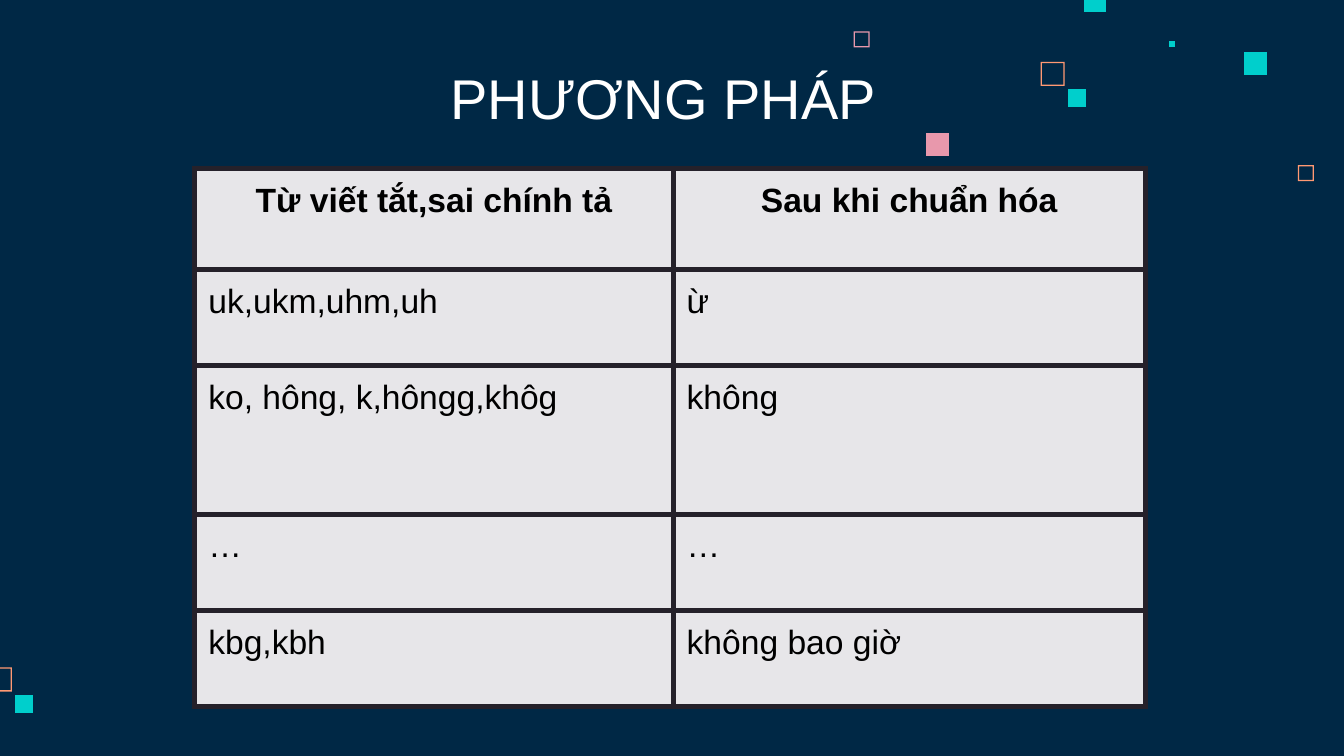
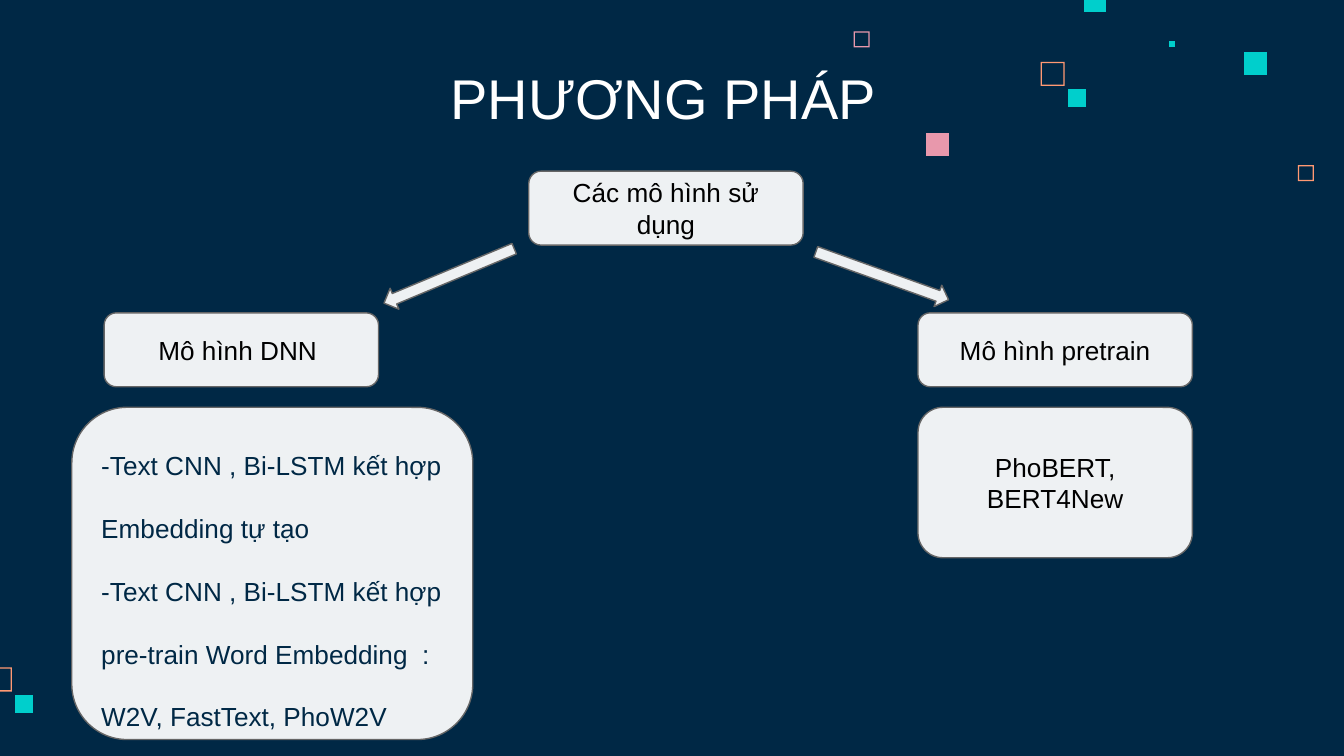
import dataclasses
import typing

import lxml.etree
import pptx
import pptx.dml.color
import pptx.enum.shapes
import pptx.enum.text
import pptx.oxml.ns
import pptx.presentation
import pptx.shapes.autoshape
import pptx.slide
import pptx.table
import pptx.text.text
import pptx.util

Pt = pptx.util.Pt
ALIGN = pptx.enum.text.PP_ALIGN
ANCHOR = pptx.enum.text.MSO_ANCHOR
SHAPE = pptx.enum.shapes.MSO_SHAPE
Slide = pptx.slide.Slide

FONT = "Arial"
TITLE = "PHƯƠNG PHÁP"
INSET = 7.2
COLORS = {
    "navy": "002845",
    "white": "FFFFFF",
    "black": "000000",
    "teal": "00CFCC",
    "pink": "E898AC",
    "coral": "FF9973",
    "cell": "E7E6E9",
    "grid": "25212A",
    "card": "EEF1F3",
    "edge": "666666",
}


@dataclasses.dataclass
class Square:
    left: float
    top: float
    size: float
    color: str
    hollow: bool = False


@dataclasses.dataclass
class Card:
    left: float
    top: float
    width: float
    height: float
    lines: list[str]
    color: str = "black"
    align: ALIGN = ALIGN.CENTER
    inset: float = INSET
    spacing: float = 1.0


@dataclasses.dataclass
class Arrow:
    left: float
    top: float
    angle: float


SQUARES = [
    Square(695.3, 88.5, 8.6, "coral", True),
    Square(457.3, 16.8, 8.6, "pink", True),
    Square(557.5, 33.1, 12.9, "coral", True),
    Square(626.4, 21.8, 3.2, "teal"),
    Square(580.5, -5.5, 12.2, "teal"),
    Square(666.6, 27.9, 12.2, "teal"),
    Square(572, 47.6, 9.7, "teal"),
    Square(496, 71.3, 12.3, "pink"),
    Square(-6.5, 357.6, 12.9, "coral", True),
    Square(8, 372.2, 9.7, "teal"),
]

COLS = [256.3, 252.9]
ROWS = [
    (54, "Từ viết tắt,sai chính tả", "Sau khi chuẩn hóa"),
    (51.5, "uk,ukm,uhm,uh", "ừ"),
    (79.6, "ko, hông, k,hôngg,khôg", "không"),
    (51.5, "…", "…"),
    (51.8, "kbg,kbh", "không bao giờ"),
]

WIDE, TALL = 147, 39.6
LEFT, RIGHT = 55.8, 491.8
HEAD, BODY = 167.6, 218.2

CARDS = [
    Card(283.3, 91.7, WIDE, TALL, ["Các mô hình sử dụng"]),
    Card(LEFT, HEAD, WIDE, TALL, ["Mô hình DNN "]),
    Card(RIGHT, HEAD, WIDE, TALL, ["Mô hình pretrain"]),
    Card(38.5, BODY, 214.8, 178,
         ["-Text CNN , Bi-LSTM kết hợp Embedding tự tạo",
          "-Text CNN , Bi-LSTM kết hợp pre-train Word Embedding  : W2V, FastText, PhoW2V"],
         "navy", ALIGN.LEFT, 9.2, 2.0),
    Card(RIGHT, BODY, WIDE, 80.6, ["PhoBERT,", "BERT4New"]),
]
ARROWS = [Arrow(202.8, 141.7, 157.3), Arrow(434.8, 141.7, 19.8)]


def rgb(name: str) -> pptx.dml.color.RGBColor:
    return pptx.dml.color.RGBColor.from_string(COLORS[name])


def paint(shape: pptx.shapes.autoshape.Shape, fill: str, line: str | None = None) -> None:
    shape.shadow.inherit = False
    shape.fill.solid()
    shape.fill.fore_color.rgb = rgb(fill)
    if line:
        shape.line.color.rgb = rgb(line)
        shape.line.width = Pt(0.75)
    else:
        shape.line.fill.background()


def write(para: pptx.text.text._Paragraph, text: str, size: float, color: str,
          align: ALIGN, bold: bool = False) -> None:
    para.alignment = align
    run = para.add_run()
    run.text = text
    run.font.name = FONT
    run.font.size = Pt(size)
    run.font.bold = bold
    run.font.color.rgb = rgb(color)


def pad(box: typing.Any, top: float = INSET) -> None:
    """Set the inner margins of a text frame or a cell."""
    box.margin_left = box.margin_right = box.margin_bottom = Pt(INSET)
    box.margin_top = Pt(top)


def draw_square(slide: Slide, item: Square) -> pptx.shapes.autoshape.Shape:
    def ring(inset: float) -> list[tuple[int, int]]:
        x, y = item.left + inset, item.top + inset
        side = item.size - 2 * inset
        spots = [(x, y), (x, y + side), (x + side, y + side), (x + side, y)]
        return [(Pt(a), Pt(b)) for a, b in spots]

    outer = ring(0)
    pen = slide.shapes.build_freeform(*outer[0])
    pen.add_line_segments(outer[1:])
    if item.hollow:
        inner = ring(0.7)[::-1]
        pen.move_to(*inner[0])
        pen.add_line_segments(inner[1:])
    shape = pen.convert_to_shape()
    paint(shape, item.color)
    return shape


def dress(layout: pptx.slide.SlideLayout, slide: Slide) -> None:
    """Give the layout its background and squares, drawn by way of a slide."""
    layout.background.fill.solid()
    layout.background.fill.fore_color.rgb = rgb("navy")
    for item in SQUARES:
        layout.shapes.element.append(draw_square(slide, item).element)


def add_page(deck: pptx.presentation.Presentation, layout: pptx.slide.SlideLayout) -> Slide:
    slide = deck.slides.add_slide(layout)
    title = slide.shapes.title
    title.left, title.top = Pt(47.5), Pt(31.7)
    title.width, title.height = Pt(615.6), Pt(45.4)
    frame = title.text_frame
    frame.auto_size = pptx.enum.text.MSO_AUTO_SIZE.NONE
    frame.vertical_anchor = ANCHOR.BOTTOM
    pad(frame)
    write(frame.paragraphs[0], TITLE, 30, "white", ALIGN.CENTER)
    return slide


def rule(cell: pptx.table._Cell) -> None:
    """Draw the four borders of a cell."""
    props = cell._tc.get_or_add_tcPr()
    name = pptx.oxml.ns.qn
    for side in ("L", "R", "T", "B"):
        line = lxml.etree.SubElement(props, name(f"a:ln{side}"), w=str(Pt(3)))
        fill = lxml.etree.SubElement(line, name("a:solidFill"))
        lxml.etree.SubElement(fill, name("a:srgbClr"), val=COLORS["grid"])


def add_grid(slide: Slide) -> None:
    high = sum(row[0] for row in ROWS)
    table = slide.shapes.add_table(len(ROWS), len(COLS), Pt(104.4), Pt(90.3),
                                   Pt(sum(COLS)), Pt(high)).table
    table.first_row = table.horz_banding = False
    for col, width in zip(table.columns, COLS):
        col.width = Pt(width)
    for r, (height, *texts) in enumerate(ROWS):
        table.rows[r].height = Pt(height)
        for c, text in enumerate(texts):
            cell = table.cell(r, c)
            rule(cell)
            cell.fill.solid()
            cell.fill.fore_color.rgb = rgb("cell")
            pad(cell)
            align = ALIGN.LEFT if r else ALIGN.CENTER
            write(cell.text_frame.paragraphs[0], text, 18, "black", align, r == 0)


def add_card(slide: Slide, card: Card) -> None:
    shape = slide.shapes.add_shape(SHAPE.ROUNDED_RECTANGLE, Pt(card.left), Pt(card.top),
                                   Pt(card.width), Pt(card.height))
    paint(shape, "card", "edge")
    frame = shape.text_frame
    frame.word_wrap = True
    frame.vertical_anchor = ANCHOR.MIDDLE
    pad(frame, card.inset)
    for i, text in enumerate(card.lines):
        para = frame.add_paragraph() if i else frame.paragraphs[0]
        para.line_spacing = card.spacing
        write(para, text, 14, card.color, card.align)


def add_arrow(slide: Slide, arrow: Arrow) -> None:
    shape = slide.shapes.add_shape(SHAPE.RIGHT_ARROW, Pt(arrow.left), Pt(arrow.top),
                                   Pt(75.6), Pt(12.2))
    shape.rotation = arrow.angle
    paint(shape, "card", "edge")


def main() -> None:
    deck = pptx.Presentation()
    deck.slide_width, deck.slide_height = Pt(720), Pt(405)
    layout = deck.slide_layouts[5]

    words = add_page(deck, layout)
    dress(layout, words)
    add_grid(words)

    models = add_page(deck, layout)
    for card in CARDS:
        add_card(models, card)
    for arrow in ARROWS:
        add_arrow(models, arrow)

    deck.save("out.pptx")


if __name__ == "__main__":
    main()
